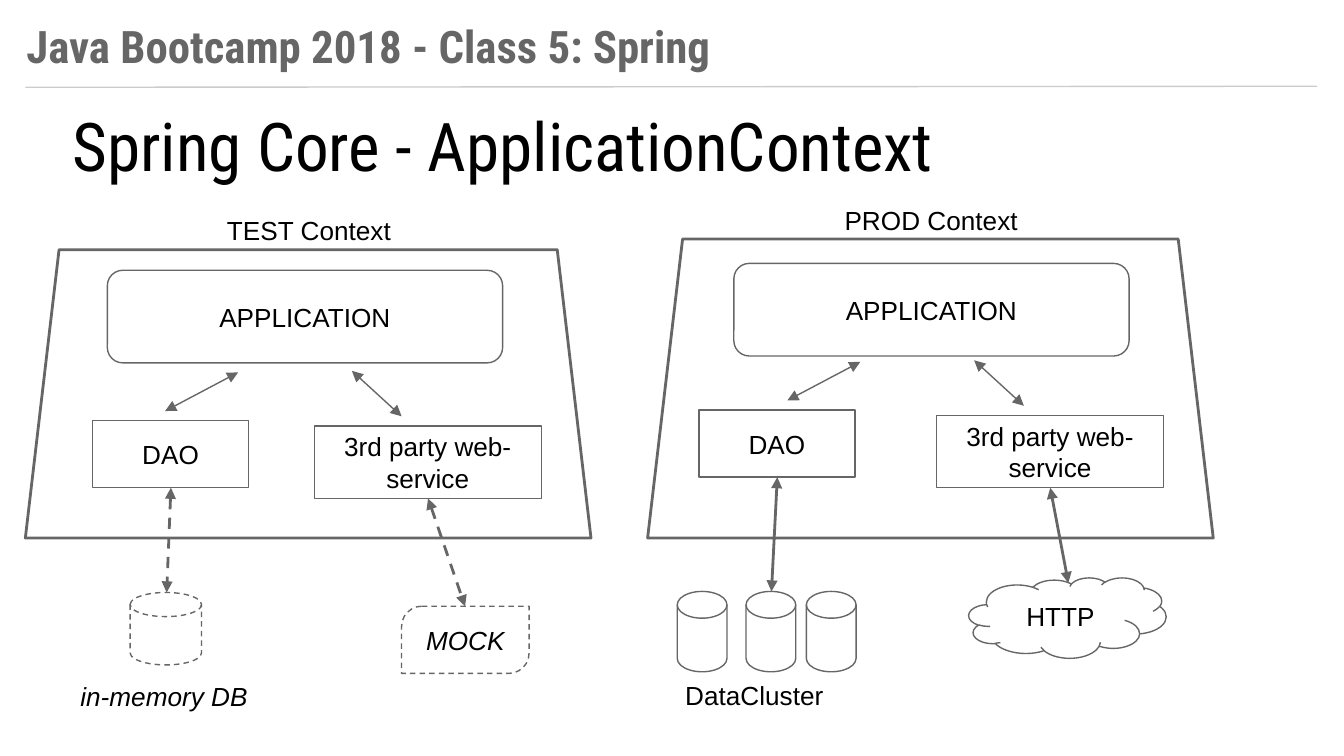
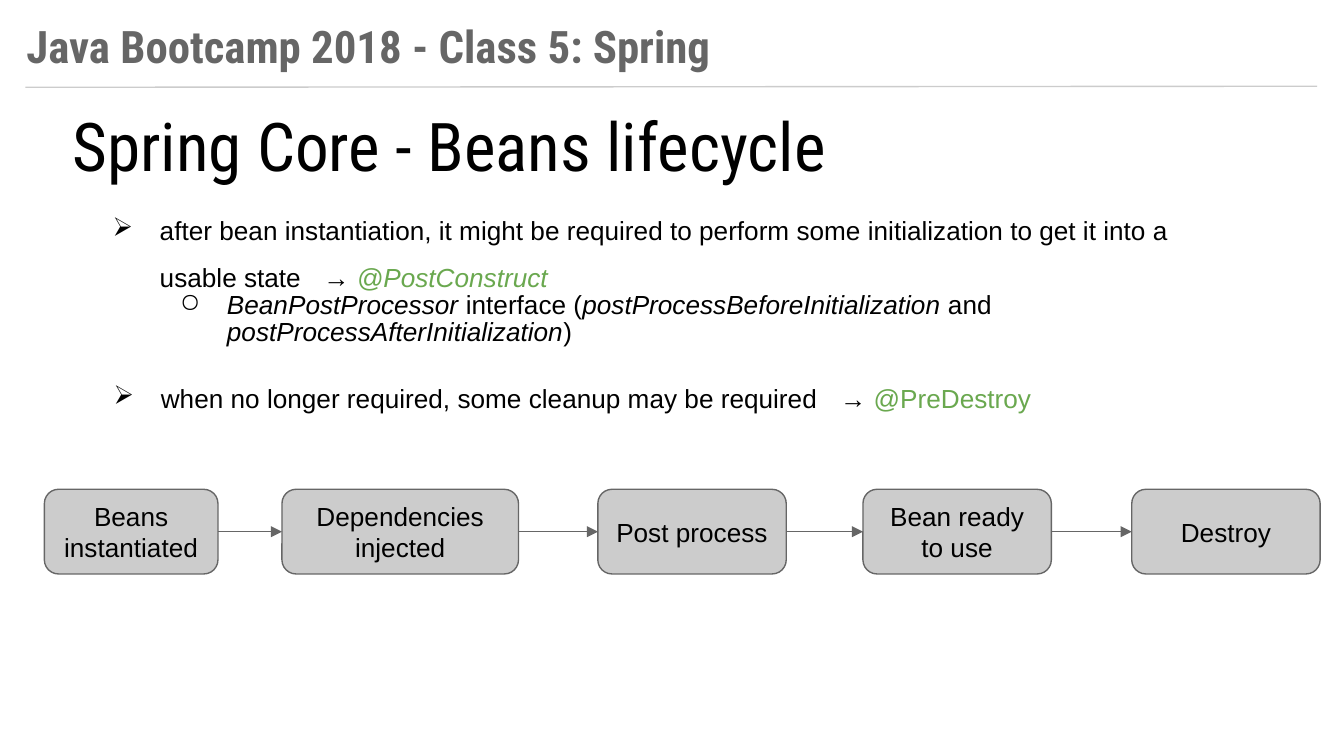
from itertools import pairwise
from lxml.etree import SubElement
from pptx import Presentation
from pptx.dml.color import RGBColor
from pptx.enum.dml import MSO_LINE
from pptx.enum.shapes import MSO_CONNECTOR, MSO_SHAPE as Preset
from pptx.enum.text import MSO_ANCHOR as Anchor, PP_ALIGN as Align
from pptx.oxml.ns import qn
from pptx.util import Cm, Pt

BLACK, GRAY, LIGHT, GREEN = "000000", "666666", "CCCCCC", "6AA84F"
BODY_FONT, TITLE_FONT = "Arial", "Roboto Condensed"
INSET = 0.25


def color(value):
    return RGBColor.from_string(value)


def style_font(font, size=14, name=BODY_FONT, fill=BLACK, bold=False, italic=False):
    font.size = Pt(size)
    font.name = name
    font.bold = bold
    font.italic = italic
    font.color.rgb = color(fill)


def prepare_frame(shape, anchor):
    frame = shape.text_frame
    frame.word_wrap = True
    frame.vertical_anchor = anchor
    frame.margin_left = frame.margin_right = Cm(INSET)
    frame.margin_top = frame.margin_bottom = Cm(INSET)
    return frame


def write(shape, text, align=Align.LEFT, anchor=Anchor.TOP, **font):
    para = prepare_frame(shape, anchor).paragraphs[0]
    para.alignment = align
    para.add_run().text = text
    style_font(para.font, **font)


def add_text(shapes, bounds, text, align=Align.LEFT, **font):
    box = shapes.add_textbox(*map(Cm, bounds))
    write(box, text, align, **font)


def style_line(line, fill, width, dashed):
    line.color.rgb = color(fill)
    line.width = Pt(width)
    if dashed:
        line.dash_style = MSO_LINE.DASH


def add_box(shapes, preset, bounds, text="", fill=None, width=0.75,
            dashed=False, italic=False, adjust=None):
    box = shapes.add_shape(preset, *map(Cm, bounds))
    box.shadow.inherit = False
    if fill:
        box.fill.solid()
        box.fill.fore_color.rgb = color(fill)
    else:
        box.fill.background()
    style_line(box.line, GRAY, width, dashed)
    if adjust is not None:
        box.adjustments[0] = adjust
    if text:
        write(box, text, Align.CENTER, Anchor.MIDDLE, italic=italic)
    return box


def add_line(shapes, start, end, fill=GRAY, width=0.75, dashed=False, ends=()):
    line = shapes.add_connector(MSO_CONNECTOR.STRAIGHT, *map(Cm, (*start, *end)))
    style_line(line.line, fill, width, dashed)
    properties = line.element.spPr
    outline = properties.find(qn("a:ln"))
    for end_name in ends:
        SubElement(outline, qn(f"a:{end_name}"), type="triangle")
    SubElement(properties, qn("a:effectLst"))


def add_double_arrow(shapes, start, end, **line):
    add_line(shapes, start, end, ends=("headEnd", "tailEnd"), **line)


def add_page(deck, title):
    page = deck.slides.add_slide(deck.slide_layouts[6])
    shapes = page.shapes
    add_line(shapes, (0.48, 1.65), (24.89, 1.63), LIGHT)
    add_text(shapes, (0.25, 0.1, 22.58, 1.27), "Java Bootcamp 2018 - Class 5: Spring",
             size=24, name=TITLE_FONT, fill=GRAY, bold=True)
    add_text(shapes, (1.12, 1.73, 22.33, 1.98), title, size=36, name=TITLE_FONT)
    return shapes


def add_context(shapes, name, left, top, application, dao_left, targets, dashed):
    dao_top, service_left, service_top = top + 3.23, left + 5.46, top + 3.33
    add_box(shapes, Preset.TRAPEZOID, (left, top, 10.69, 10.17 - top),
            width=1.5, adjust=0.117)
    add_text(shapes, (left + 2.5, top - 0.91, 5.72, 0.86), name, Align.CENTER)
    add_box(shapes, Preset.ROUNDED_RECTANGLE, (*application, 7.47, 1.75), "APPLICATION")
    add_box(shapes, Preset.RECTANGLE, (dao_left, dao_top, 2.95, 1.27), "DAO")
    add_box(shapes, Preset.RECTANGLE, (service_left, service_top, 4.29, 1.37),
            "3rd party web-service")
    add_double_arrow(shapes, (left + 4.02, top + 2.32), (left + 2.64, top + 3.05))
    add_double_arrow(shapes, (left + 7.11, top + 3.15), (left + 6.17, top + 2.29))
    starts = ((dao_left + 1.48, dao_top + 1.27), (service_left + 2.15, service_top + 1.37))
    for start, target in zip(starts, targets):
        add_double_arrow(shapes, start, target, width=1.5, dashed=dashed)


def add_database(shapes, lefts, top, size, label, label_at, test=False):
    group = shapes.add_group_shape().shapes
    for left in lefts:
        add_box(group, Preset.FLOWCHART_MAGNETIC_DISK, (left, top, *size), dashed=test)
    add_text(group, (*label_at, 3.73, 0.71), label, italic=test)


def add_span(para, text, fill=BLACK, italic=False, spacing=None):
    span = para.add_run()
    span.text = text
    span.font.color.rgb = color(fill)
    span.font.italic = italic
    if spacing:
        span.font._element.set("spc", str(spacing * 100))


def add_bullets(shapes, bounds, bullets):
    frame = prepare_frame(shapes.add_textbox(*map(Cm, bounds)), Anchor.TOP)
    for index, (level, spans) in enumerate(bullets):
        para = frame.add_paragraph() if index else frame.paragraphs[0]
        para.level = level
        para.line_spacing = (1.5, 0.86)[level]
        properties = para._p.get_or_add_pPr()
        properties.set("marL", str(Cm(1.27 * (level + 1))))
        properties.set("indent", str(Cm(-0.89)))
        tint = SubElement(properties, qn("a:buClr"))
        SubElement(tint, qn("a:srgbClr"), val=BLACK)
        SubElement(properties, qn("a:buChar"), char="➢○"[level])
        style_font(para.font)
        for span in spans:
            add_span(para, **span)


def annotated(text, annotation, italic=False):
    return [dict(text=text), dict(text=" ", spacing=8), dict(text="→ "),
            dict(text=annotation, fill=GREEN, italic=italic)]


def build_context_page(deck):
    shapes = add_page(deck, "Spring Core - ApplicationContext")
    add_context(shapes, "TEST Context", 0.48, 4.72, (2.03, 5.11), 1.75,
                ((3.15, 11.2), (8.79, 11.46)), True)
    add_database(shapes, [2.46], 11.2, (1.35, 1.37), "in-memory DB", (1.27, 12.62), True)
    add_box(shapes, Preset.ROUND_2_DIAG_RECTANGLE, (7.59, 11.46, 2.41, 1.27), "MOCK",
            dashed=True, italic=True, adjust=0.302)
    add_context(shapes, "PROD Context", 12.24, 4.52, (13.87, 4.98), 13.21,
                ((14.58, 11.18), (20.19, 11.02)), False)
    add_database(shapes, [12.8, 14.1, 15.24], 11.18, (0.94, 1.52),
                 "DataCluster", (12.7, 12.6))
    add_box(shapes, Preset.CLOUD, (18.31, 10.92, 3.73, 1.52), "HTTP")


def build_lifecycle_page(deck):
    shapes = add_page(deck, "Spring Core - Beans lifecycle")
    add_bullets(shapes, (1.5, 3.51, 21.79, 3.43), [
        (0, annotated("after bean instantiation, it might be required to perform some "
                      "initialization to get it into a usable state",
                      "@PostConstruct", True)),
        (1, [dict(text="BeanPostProcessor", italic=True),
             dict(text=" interface ("),
             dict(text="postProcessBeforeInitialization", italic=True),
             dict(text=" and "),
             dict(text="postProcessAfterInitialization", italic=True),
             dict(text=")")]),
    ])
    add_bullets(shapes, (1.52, 6.68, 21.79, 1.12), [
        (0, annotated("when no longer required, some cleanup may be required",
                      "@PreDestroy")),
    ])
    steps = [("Beans instantiated", 0.84, 3.28), ("Dependencies injected", 5.33, 4.47),
             ("Post process", 11.3, 3.56), ("Bean ready to use", 16.31, 3.56),
             ("Destroy", 21.39, 3.56)]
    for text, left, width in steps:
        add_box(shapes, Preset.ROUNDED_RECTANGLE, (left, 9.25, width, 1.6), text, LIGHT)
    for (_, left, width), (_, next_left, _) in pairwise(steps):
        add_line(shapes, (left + width, 10.05), (next_left, 10.05), ends=["tailEnd"])


def main():
    deck = Presentation()
    deck.slide_width, deck.slide_height = Cm(25.4), Cm(14.29)
    build_context_page(deck)
    build_lifecycle_page(deck)
    deck.save("out.pptx")


main()
